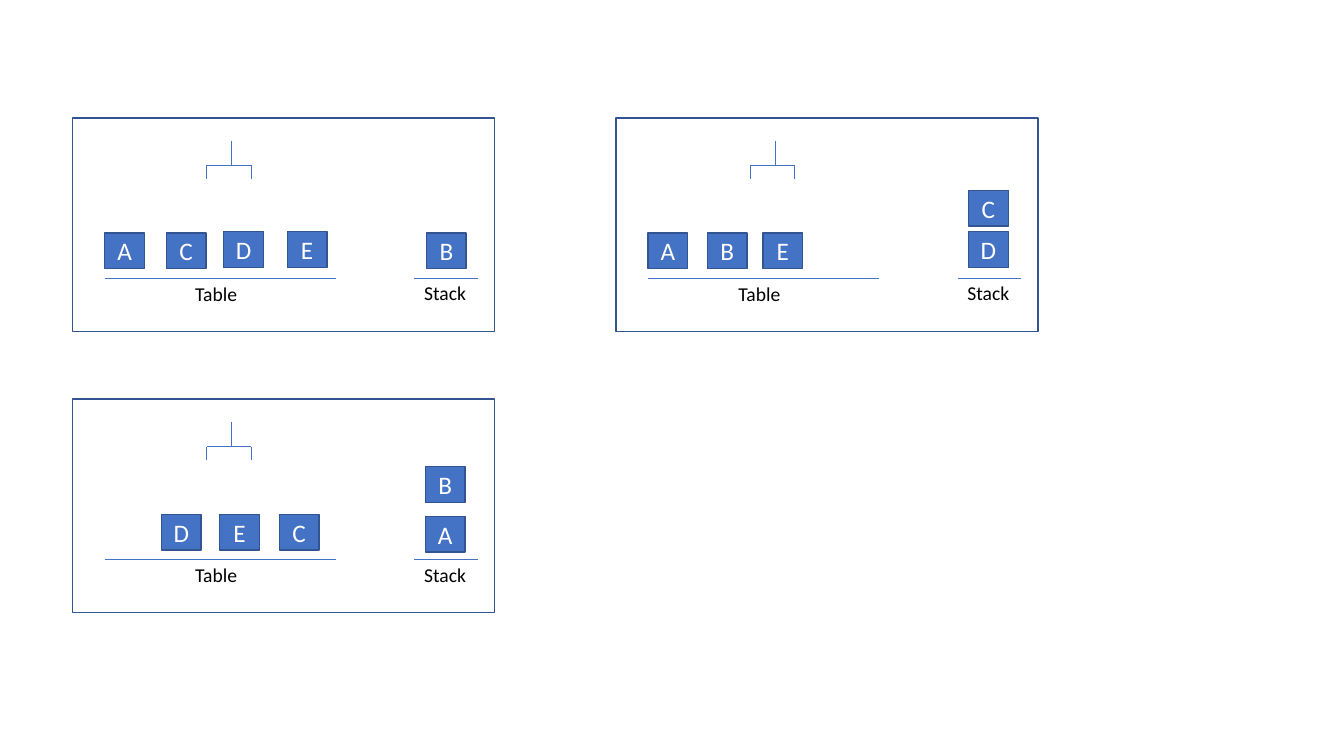
from lxml import etree
from pptx import Presentation
from pptx import util as u
from pptx.dml.color import RGBColor
from pptx.enum import shapes, text
from pptx.oxml import ns

BLUE = RGBColor(0x44, 0x72, 0xC4)
DARK_BLUE = RGBColor(0x32, 0x54, 0x91)
WHITE = RGBColor(0xFF, 0xFF, 0xFF)
BLACK = RGBColor(0x00, 0x00, 0x00)

# All lengths are centimetres; offsets are measured from a panel's corner
PANEL_SIZE = (10.64, 5.38)
BLOCK_SIZE = (1.0, 0.9)
LABEL_SIZE = (1.57, 0.86)
GROUND = 4.04
ROW = 2.9
STACK = 8.89

SURFACES = [(0.81, GROUND, 6.63, GROUND), (8.61, GROUND, 10.21, GROUND)]
GRIPPER = [
    (4.01, 0.58, 4.01, 1.2),
    (3.38, 1.2, 4.5, 1.2),
    (4.5, 1.2, 4.5, 1.53),
    (3.38, 1.2, 3.38, 1.53),
]
LABELS = [("Table", 2.84, 4.01), ("Stack", 8.61, 3.99)]

# Panel corner, then the name and offset of each block
STATES = [
    ((1.83, 2.97), [("B", 8.92, ROW), ("A", 0.81, ROW), ("C", 2.36, ROW),
                    ("D", 3.81, 2.87), ("E", 5.41, 2.87)]),
    ((15.52, 2.97), [("B", 2.31, ROW), ("A", 0.81, ROW), ("C", STACK, 1.83),
                     ("D", STACK, 2.87), ("E", 3.71, ROW)]),
    ((1.83, 10.06), [("B", STACK, 1.7), ("A", STACK, 2.95), ("C", 5.21, ROW),
                     ("D", 2.24, ROW), ("E", 3.71, ROW)]),
]

BLOCK_FONT = {"name": "Calibri", "size": u.Pt(18)}
LABEL_FONT = {"name": "Calibri", "size": u.Pt(14)}


def place(origin, x, y):
    return u.Cm(origin[0] + x), u.Cm(origin[1] + y)


def write(shape, words, font_format, color, alignment):
    paragraph = shape.text_frame.paragraphs[0]
    paragraph.alignment = alignment
    run = paragraph.add_run()
    run.text = words
    for name, value in font_format.items():
        setattr(run.font, name, value)
    run.font.color.rgb = color


def add_box(slide, origin, x, y, size, fill=None):
    shape = slide.shapes.add_shape(
        shapes.MSO_SHAPE.RECTANGLE, *place(origin, x, y), *map(u.Cm, size))
    shape.shadow.inherit = False
    if fill is None:
        shape.fill.background()
    else:
        shape.fill.solid()
        shape.fill.fore_color.rgb = fill
    shape.line.color.rgb = DARK_BLUE
    shape.line.width = u.Pt(1)
    return shape


def add_block(slide, origin, name, x, y):
    block = add_box(slide, origin, x, y, BLOCK_SIZE, BLUE)
    block.text_frame.vertical_anchor = text.MSO_ANCHOR.MIDDLE
    write(block, name, BLOCK_FONT, WHITE, text.PP_ALIGN.CENTER)


def add_line(parent, origin, x1, y1, x2, y2):
    line = parent.shapes.add_connector(
        shapes.MSO_CONNECTOR.STRAIGHT, *place(origin, x1, y1), *place(origin, x2, y2))
    line.line.color.rgb = BLUE
    line.line.width = u.Pt(0.5)
    etree.SubElement(line._element.spPr, ns.qn("a:effectLst"))


def add_label(slide, origin, words, x, y):
    label = slide.shapes.add_textbox(*place(origin, x, y), *map(u.Cm, LABEL_SIZE))
    label.text_frame.word_wrap = False
    label.text_frame.auto_size = text.MSO_AUTO_SIZE.SHAPE_TO_FIT_TEXT
    write(label, words, LABEL_FONT, BLACK, text.PP_ALIGN.LEFT)


def add_state(slide, origin, blocks):
    # Frame and surfaces
    add_box(slide, origin, 0, 0, PANEL_SIZE)
    for surface in SURFACES:
        add_line(slide, origin, *surface)
    # Gripper
    gripper = slide.shapes.add_group_shape()
    for segment in GRIPPER:
        add_line(gripper, origin, *segment)
    # Blocks and labels
    for block in blocks:
        add_block(slide, origin, *block)
    for label in LABELS:
        add_label(slide, origin, *label)


def main():
    presentation = Presentation()
    presentation.slide_width = u.Cm(33.87)
    presentation.slide_height = u.Cm(19.05)
    blank_layout = presentation.slide_layouts[6]
    slide = presentation.slides.add_slide(blank_layout)
    for origin, blocks in STATES:
        add_state(slide, origin, blocks)
    presentation.save("out.pptx")


main()
